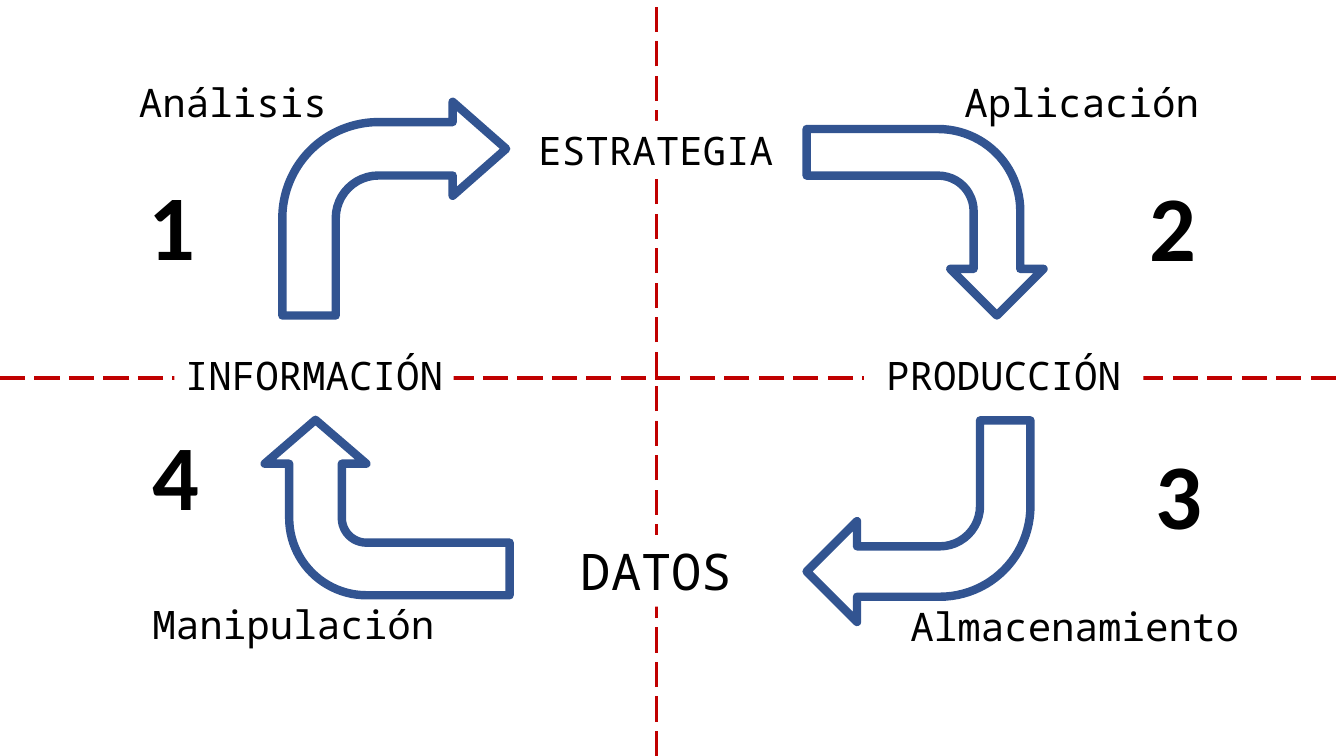
from dataclasses import dataclass

from lxml.etree import SubElement
from pptx import Presentation
from pptx.dml.color import RGBColor
from pptx.enum.dml import MSO_LINE
from pptx.enum.shapes import MSO_CONNECTOR, MSO_SHAPE
from pptx.enum.text import MSO_ANCHOR, MSO_AUTO_SIZE, PP_ALIGN
from pptx.oxml import parse_xml
from pptx.oxml.ns import nsdecls, qn
from pptx.util import Inches, Pt


@dataclass(frozen=True)
class Theme:
    axis: RGBColor = RGBColor(0xC0, 0x00, 0x00)
    arrow: RGBColor = RGBColor(0x32, 0x54, 0x91)
    text: RGBColor = RGBColor(0x00, 0x00, 0x00)
    paper: RGBColor = RGBColor(0xFF, 0xFF, 0xFF)
    label_font: str = "Noto Sans Mono"
    number_font: str = "Calibri"
    label_size: int = 28
    core_size: int = 36
    number_size: int = 66
    axis_width: float = 2.25
    arrow_width: float = 6


THEME = Theme()
WIDTH, HEIGHT = 13.33, 7.5
AXIS_X, AXIS_Y = 6.51, HEIGHT / 2

# text, (left, top, width, height), size
STATES = [
    ("INFORMACIÓN", (1.73, 3.44, 2.77, 0.57), THEME.label_size),
    ("PRODUCCIÓN", (8.57, 3.44, 2.77, 0.57), THEME.label_size),
    ("DATOS", (5.62, 5.31, 1.78, 0.71), THEME.core_size),
    ("ESTRATEGIA", (5.12, 1.2, 2.77, 0.57), THEME.label_size),
]
# (left, top, width, height), rotation, adjustments
ARROWS = [
    ((8.25, 1.03, 1.85, 2.35), 90, (0.25, 0.25, 0.25, 0.44)),
    ((2.97, 3.82, 1.74, 2.43), 270, (0.3, 0.29, 0.25, 0.44)),
    ((2.8, 1.01, 2.22, 2.12), 0, (0.25, 0.22, 0.25, 0.45)),
    ((8, 4.17, 2.22, 2), 180, (0.25, 0.25, 0.25, 0.45)),
]
PROCESSES = [
    ("Manipulación", (1.3, 5.91, 3.22, 0.57)),
    ("Almacenamiento", (8.89, 5.93, 3.54, 0.57)),
    ("Aplicación", (9.4, 0.73, 2.66, 0.57)),
    ("Análisis", (0.54, 0.73, 3.54, 0.57)),
]
NUMBERS = [
    ("1", (1.37, 1.62, 0.85, 1.21)),
    ("2", (11.3, 1.63, 0.66, 1.21)),
    ("3", (11.36, 4.29, 0.85, 1.21)),
    ("4", (1.41, 4.1, 0.71, 1.21)),
]


def inches(lengths):
    return [Inches(length) for length in lengths]


def add_axis(slide, start, end):
    axis = slide.shapes.add_connector(
        MSO_CONNECTOR.STRAIGHT, *inches(start), *inches(end))
    axis.line.color.rgb = THEME.axis
    axis.line.width = Pt(THEME.axis_width)
    axis.line.dash_style = MSO_LINE.LONG_DASH
    SubElement(axis.element.spPr, qn("a:effectLst"))


def write(shape, text, size, font=THEME.label_font, align=PP_ALIGN.CENTER):
    frame = shape.text_frame
    frame.text = text
    frame.word_wrap = True
    frame.auto_size = MSO_AUTO_SIZE.SHAPE_TO_FIT_TEXT
    paragraph = frame.paragraphs[0]
    paragraph.alignment = align
    paragraph.font.name = font
    paragraph.font.size = Pt(size)
    paragraph.font.color.rgb = THEME.text
    return paragraph


def add_state(slide, text, box, size):
    """Add a label on a plain patch that interrupts the axis behind it."""
    state = slide.shapes.add_shape(MSO_SHAPE.RECTANGLE, *inches(box))
    state.shadow.inherit = False
    state.fill.solid()
    state.fill.fore_color.rgb = THEME.paper
    state.line.fill.background()
    write(state, text, size)
    frame = state.text_frame
    frame.vertical_anchor = MSO_ANCHOR.TOP
    frame.margin_left = frame.margin_right = Inches(0.05)


def add_bent_arrow(slide, box, rotation, adjustments):
    arrow = slide.shapes.add_shape(MSO_SHAPE.BENT_ARROW, *inches(box))
    arrow.rotation = rotation
    for index, value in enumerate(adjustments):
        arrow.adjustments[index] = value
    arrow.shadow.inherit = False
    arrow.fill.background()
    arrow.line.color.rgb = THEME.arrow
    arrow.line.width = Pt(THEME.arrow_width)


def add_process(slide, text, box):
    write(slide.shapes.add_textbox(*inches(box)), text, THEME.label_size)


def add_number(slide, text, box):
    paragraph = write(slide.shapes.add_textbox(*inches(box)), text,
                      THEME.number_size, THEME.number_font, PP_ALIGN.LEFT)
    paragraph.font.bold = True
    outline = parse_xml(
        f'<a:ln {nsdecls("a")} w="{Pt(0.75)}"><a:solidFill>'
        f'<a:srgbClr val="{THEME.paper}"/></a:solidFill></a:ln>')
    paragraph.runs[0].font.fill.solid()
    paragraph.runs[0].font.color.rgb = THEME.text
    paragraph.runs[0].font.fill  # colour is set before the outline goes first
    paragraph.runs[0]._r.get_or_add_rPr().insert(0, outline)


def main():
    deck = Presentation()
    deck.slide_width, deck.slide_height = inches((WIDTH, HEIGHT))
    slide = deck.slides.add_slide(deck.slide_layouts[6])

    add_axis(slide, (AXIS_X, HEIGHT), (AXIS_X, 0))
    add_axis(slide, (0, AXIS_Y), (WIDTH, AXIS_Y))
    for state in STATES:
        add_state(slide, *state)
    for arrow in ARROWS:
        add_bent_arrow(slide, *arrow)
    for process in PROCESSES:
        add_process(slide, *process)
    for number in NUMBERS:
        add_number(slide, *number)

    deck.save("out.pptx")


if __name__ == "__main__":
    main()
